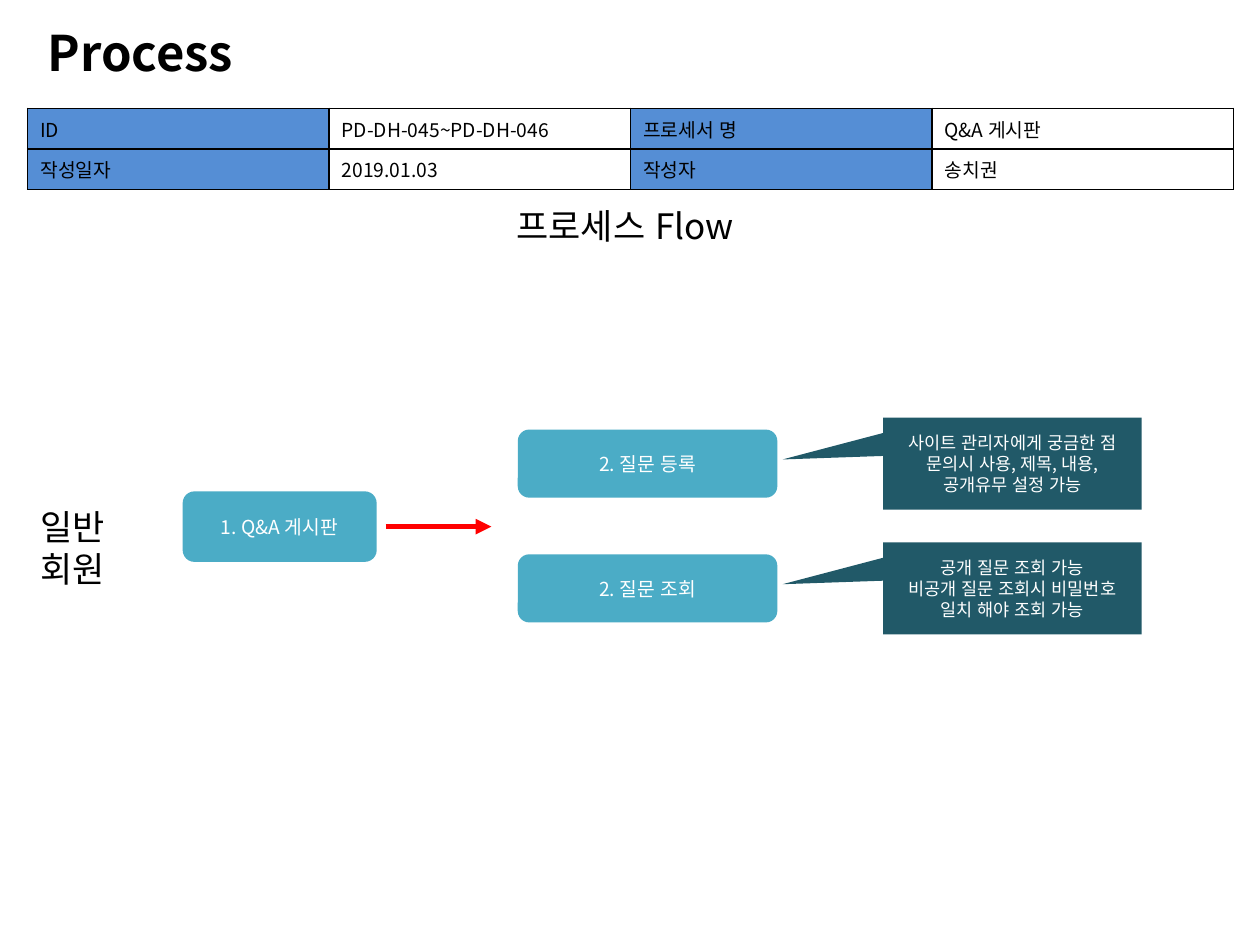
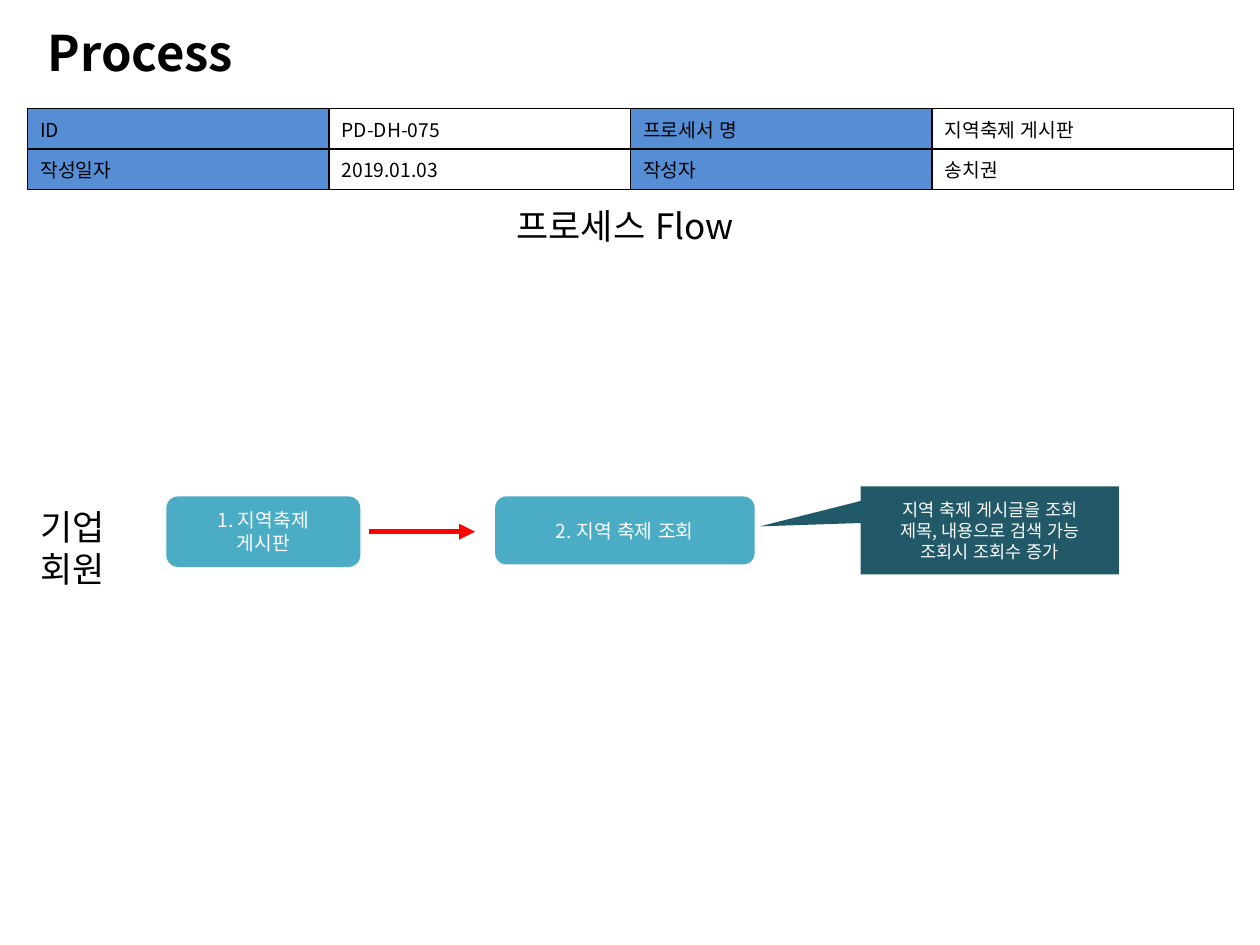
from dataclasses import dataclass
from typing import Any

from lxml import etree
from pptx import Presentation
from pptx.dml.color import RGBColor
from pptx.enum.lang import MSO_LANGUAGE_ID
from pptx.enum.shapes import MSO_CONNECTOR, MSO_SHAPE
from pptx.enum.text import MSO_ANCHOR, MSO_AUTO_SIZE, PP_ALIGN
from pptx.oxml.ns import qn
from pptx.util import Emu, Inches, Pt

# Shared style
FONT = "Noto Sans CJK KR"
BLACK = RGBColor(0x00, 0x00, 0x00)
WHITE = RGBColor(0xFF, 0xFF, 0xFF)
LABEL_BLUE = RGBColor(0x55, 0x8E, 0xD5)
TEAL = RGBColor(0x4B, 0xAC, 0xC6)
DARK_TEAL = RGBColor(0x21, 0x59, 0x68)
RED = RGBColor(0xFF, 0x00, 0x00)

LEFT, CENTER = PP_ALIGN.LEFT, PP_ALIGN.CENTER
TOP, MIDDLE = MSO_ANCHOR.TOP, MSO_ANCHOR.MIDDLE
ROUNDED, CALLOUT = MSO_SHAPE.ROUNDED_RECTANGLE, MSO_SHAPE.RECTANGULAR_CALLOUT
STRAIGHT = MSO_CONNECTOR.STRAIGHT
NO_AUTOFIT = MSO_AUTO_SIZE.NONE
KOREAN = MSO_LANGUAGE_ID.KOREAN

# Grid of 100 columns by 75 rows, with square cells
WIDTH, HEIGHT = Inches(10), Inches(7.5)
UNIT = WIDTH / 100

# Flow measures, in grid units
STEP_W, STEP_H = 15.4, 5.6
ACTION_W, ACTION_H = 20.6, 5.4
ARROW_GAP, ARROW_W = 0.7, 8.4
NOTE_OFFSET, NOTE_W = 29, 20.5
NOTE_TIP = (-0.89, -0.045)


@dataclass(frozen=True)
class Box:
    x: float
    y: float
    w: float
    h: float

    def emu(self) -> list[Emu]:
        return [grid(v) for v in (self.x, self.y, self.w, self.h)]


@dataclass(frozen=True)
class TextStyle:
    size: float
    color: RGBColor = BLACK
    bold: bool = False
    align: PP_ALIGN = LEFT
    anchor: MSO_ANCHOR = TOP


@dataclass(frozen=True)
class Action:
    y: float
    text: str
    note: list[str]
    note_h: float


@dataclass(frozen=True)
class Process:
    id: str
    name: str
    member: list[str]
    step_x: float
    step_y: float
    step: list[str]
    action_x: float
    actions: list[Action]


TITLE = TextStyle(28, bold=True)
HEADING = TextStyle(20)
CELL = TextStyle(11)
NODE = TextStyle(11, WHITE, align=CENTER, anchor=MIDDLE)
NOTE = TextStyle(10, WHITE, align=CENTER, anchor=MIDDLE)

TITLE_BOX = Box(2.8, 1.3, 89.8, 5.7)
TABLE_BOX = Box(2.2, 8.6, 95.7, 5.7)
HEADING_BOX = Box(40, 15.7, 20.1, 4.4)
MEMBER_BOX = Box(2.2, 39.6, 7.6, 7.7)

PROCESSES = [
    Process(
        "PD-DH-045~PD-DH-046", "Q&A 게시판", ["일반", "회원"],
        14.5, 39, ["1. Q&A 게시판"], 41.1,
        [
            Action(34.1, "2. 질문 등록",
                   ["사이트 관리자에게 궁금한 점 문의시 사용, 제목, 내용, 공개유무 설정 가능"], 7.3),
            Action(44, "2. 질문 조회",
                   ["공개 질문 조회 가능", "비공개 질문 조회시 비밀번호 일치 해야 조회 가능"], 7.3),
        ],
    ),
    Process(
        "PD-DH-075", "지역축제 게시판", ["기업", "회원"],
        13.2, 39.4, ["1. 지역축제", "게시판"], 39.3,
        [
            Action(39.4, "2. 지역 축제 조회",
                   ["지역 축제 게시글을 조회", "제목, 내용으로 검색 가능", "조회시 조회수 증가"], 7),
        ],
    ),
]


def grid(units: float) -> Emu:
    return Emu(round(units * UNIT))


def write(tf: Any, lines: list[str], style: TextStyle) -> None:
    for i, line in enumerate(lines):
        p = tf.paragraphs[0] if i == 0 else tf.add_paragraph()
        p.alignment = style.align
        r = p.add_run()
        r.text = line
        r.font.size = Pt(style.size)
        r.font.bold = style.bold
        r.font.color.rgb = style.color
        r.font.name = FONT
        r.font.language_id = KOREAN
        # Hangul takes the East Asian typeface
        etree.SubElement(r.font._element, qn("a:ea"), typeface=FONT)


def fill_frame(sp: Any, lines: list[str], style: TextStyle) -> None:
    tf = sp.text_frame
    tf.word_wrap = True
    tf.auto_size = NO_AUTOFIT
    tf.vertical_anchor = style.anchor
    write(tf, lines, style)


def add_text(slide: Any, box: Box, lines: list[str], style: TextStyle) -> None:
    fill_frame(slide.shapes.add_textbox(*box.emu()), lines, style)


def add_node(slide: Any, kind: MSO_SHAPE, box: Box, color: RGBColor,
             lines: list[str], style: TextStyle) -> Any:
    sp = slide.shapes.add_shape(kind, *box.emu())
    sp.shadow.inherit = False
    sp.fill.solid()
    sp.fill.fore_color.rgb = color
    sp.line.fill.background()
    fill_frame(sp, lines, style)
    return sp


def add_arrow(slide: Any, x: float, y: float) -> None:
    line = slide.shapes.add_connector(
        STRAIGHT, grid(x), grid(y), grid(x + ARROW_W), grid(y))
    line.line.color.rgb = RED
    line.line.width = Pt(3)
    etree.SubElement(line.line._get_or_add_ln(), qn("a:tailEnd"), type="triangle")
    etree.SubElement(line._element.spPr, qn("a:effectLst"))


def add_borders(cell: Any) -> None:
    tc_pr = cell._tc.get_or_add_tcPr()
    for side in ("lnL", "lnR", "lnT", "lnB"):
        ln = etree.SubElement(tc_pr, qn(f"a:{side}"), w=str(Pt(1)))
        fill = etree.SubElement(ln, qn("a:solidFill"))
        etree.SubElement(fill, qn("a:srgbClr"), val=str(BLACK))


def add_info_table(slide: Any, process: Process) -> None:
    rows = [
        ["ID", process.id, "프로세서 명", process.name],
        ["작성일자", "2019.01.03", "작성자", "송치권"],
    ]
    table = slide.shapes.add_table(len(rows), len(rows[0]), *TABLE_BOX.emu()).table
    for i, row in enumerate(rows):
        for j, text in enumerate(row):
            cell = table.cell(i, j)
            add_borders(cell)
            cell.fill.solid()
            cell.fill.fore_color.rgb = WHITE if j % 2 else LABEL_BLUE
            write(cell.text_frame, [text], CELL)


def add_flow(slide: Any, process: Process) -> None:
    x, y = process.step_x, process.step_y
    add_node(slide, ROUNDED, Box(x, y, STEP_W, STEP_H), TEAL, process.step, NODE)
    add_arrow(slide, x + STEP_W + ARROW_GAP, y + STEP_H / 2)
    for action in process.actions:
        box = Box(process.action_x, action.y, ACTION_W, ACTION_H)
        add_node(slide, ROUNDED, box, TEAL, [action.text], NODE)
        # The note is centred on its action
        note_y = action.y + (ACTION_H - action.note_h) / 2
        note_box = Box(process.action_x + NOTE_OFFSET, note_y, NOTE_W, action.note_h)
        note = add_node(slide, CALLOUT, note_box, DARK_TEAL, action.note, NOTE)
        note.adjustments[0], note.adjustments[1] = NOTE_TIP


def add_process_slide(prs: Any, process: Process) -> None:
    slide = prs.slides.add_slide(prs.slide_layouts[5])
    title = slide.shapes.title
    title.left, title.top, title.width, title.height = TITLE_BOX.emu()
    fill_frame(title, ["Process"], TITLE)
    add_info_table(slide, process)
    add_text(slide, HEADING_BOX, ["프로세스 Flow"], HEADING)
    add_text(slide, MEMBER_BOX, process.member, HEADING)
    add_flow(slide, process)


def main() -> None:
    prs = Presentation()
    prs.slide_width, prs.slide_height = WIDTH, HEIGHT
    for process in PROCESSES:
        add_process_slide(prs, process)
    prs.save("out.pptx")


if __name__ == "__main__":
    main()
